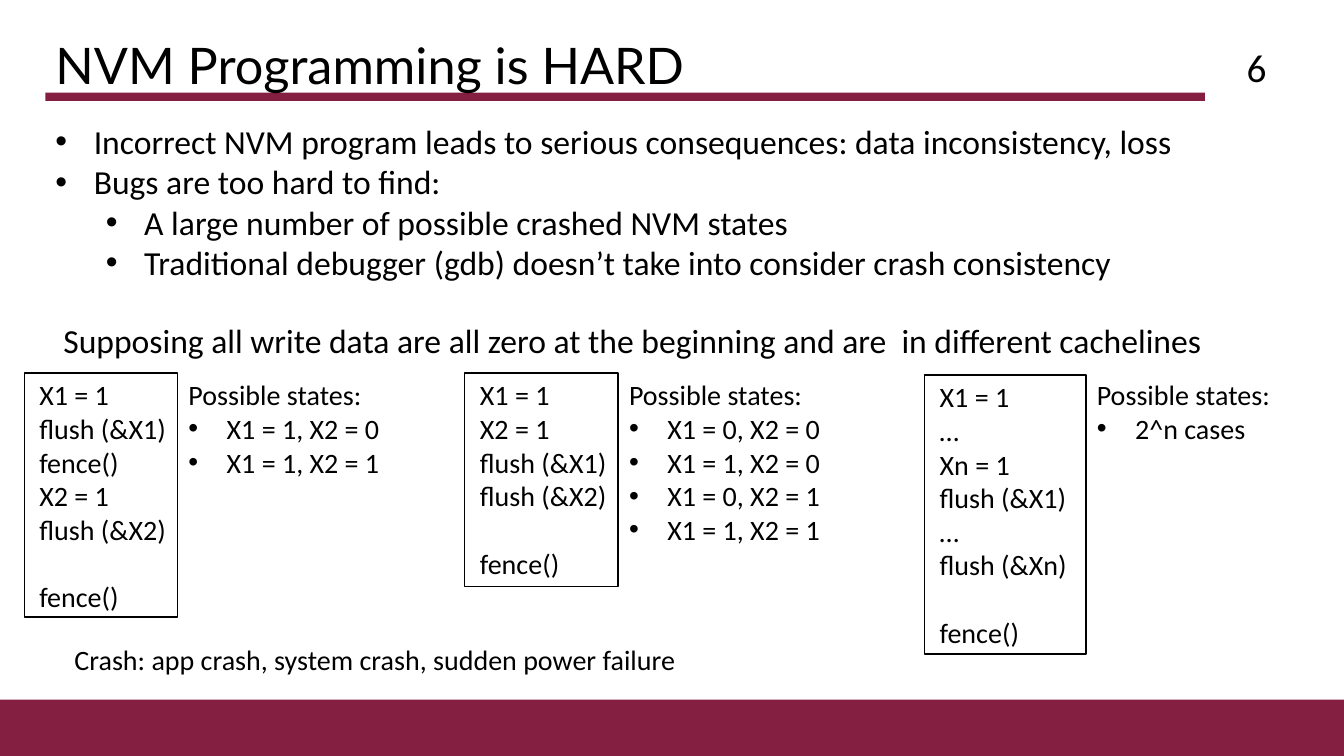
"""Build the slide on why NVM programming is hard."""
from lxml.etree import SubElement
from pptx import Presentation
from pptx.dml.color import RGBColor
from pptx.enum.shapes import MSO_SHAPE
from pptx.enum.text import MSO_ANCHOR, MSO_AUTO_SIZE, PP_ALIGN
from pptx.oxml.ns import qn
from pptx.util import Inches, Pt

MAROON, BLACK, WHITE = "851F41", "000000", "FFFFFF"


def color(hex_value):
    return RGBColor.from_string(hex_value)


def write(frame, lines, size, font="Calibri", spacing=1.0):
    """Fill a frame from (text, level) pairs; level None means no bullet."""
    frame.word_wrap = True
    frame.auto_size = MSO_AUTO_SIZE.NONE
    for number, (text, level) in enumerate(lines):
        paragraph = frame.paragraphs[0] if number == 0 else frame.add_paragraph()
        paragraph.text = text
        paragraph.alignment = PP_ALIGN.LEFT
        paragraph.line_spacing = spacing
        paragraph.space_before = Pt(0)
        if level is not None:
            paragraph.level = level
            properties = paragraph._p.get_or_add_pPr()
            properties.set("marL", str(Inches(0.38 + 0.5 * level)))
            properties.set("indent", str(Inches(-0.38)))
            SubElement(properties, qn("a:buFont")).set("typeface", "Arial")
            SubElement(properties, qn("a:buChar")).set("char", "•")
        paragraph.font.name = font
        paragraph.font.size = Pt(size)
        paragraph.font.color.rgb = color(BLACK)


prs = Presentation()
prs.slide_width, prs.slide_height = Inches(13.33), Inches(7.5)
slide = prs.slides.add_slide(prs.slide_layouts[1])
shapes = slide.shapes

for left, top, width, height in [(0, 6.94, 13.33, 0.56), (0.45, 0.92, 11.5, 0.08)]:
    band = shapes.add_shape(MSO_SHAPE.RECTANGLE, Inches(left), Inches(top),
                            Inches(width), Inches(height))
    band.shadow.inherit = False
    band.fill.solid()
    band.fill.fore_color.rgb = color(MAROON)
    band.line.fill.background()
    shapes._spTree.insert(2, band._element)

title = shapes.title
title.left, title.top, title.width, title.height = map(Inches, (0.45, 0.4, 11.5, 0.56))
write(title.text_frame, [("NVM Programming is HARD", None)], 36, "Lato", 0.9)
title.text_frame.vertical_anchor = MSO_ANCHOR.MIDDLE

reasons = slide.placeholders[1]
reasons.left, reasons.top, reasons.width, reasons.height = map(
    Inches, (0.45, 1.15, 12.21, 1.72))
write(reasons.text_frame, [
    ("Incorrect NVM program leads to serious consequences: data inconsistency, loss", 0),
    ("Bugs are too hard to find:", 0),
    ("A large number of possible crashed NVM states", 1),
    ("Traditional debugger (gdb) doesn’t take into consider crash consistency", 1),
], 24)

notes = [
    ("Supposing all write data are all zero at the beginning and are  in different cachelines",
     0.53, 3.12, 11.78, 0.5, 24),
    ("Crash: app crash, system crash, sudden power failure", 0.64, 6.33, 8.14, 0.44, 20),
]
for text, left, top, width, height, size in notes:
    note = shapes.add_textbox(Inches(left), Inches(top), Inches(width), Inches(height))
    write(note.text_frame, [(text, None)], size)

examples = [
    (0.24, 3.7, 1.52, 2.42,
     ["X1 = 1", "flush (&X1)", "fence()", "X2 = 1", "flush (&X2)", "fence()"],
     ["X1 = 1, X2 = 0", "X1 = 1, X2 = 1"]),
    (4.61, 3.7, 1.52, 2.12,
     ["X1 = 1", "X2 = 1", "flush (&X1)", "flush (&X2)", "fence()"],
     ["X1 = 0, X2 = 0", "X1 = 1, X2 = 0", "X1 = 0, X2 = 1", "X1 = 1, X2 = 1"]),
    (9.17, 3.72, 1.6, 2.77,
     ["X1 = 1", "…", "Xn = 1", "flush (&X1)", "…", "flush (&Xn)", "fence()"],
     ["2^n cases"]),
]
for left, top, width, height, code, states in examples:
    program = shapes.add_shape(MSO_SHAPE.RECTANGLE, Inches(left), Inches(top),
                               Inches(width), Inches(height))
    program.shadow.inherit = False
    program.fill.solid()
    program.fill.fore_color.rgb = color(WHITE)
    program.line.color.rgb = color(BLACK)
    program.line.width = Pt(1)
    listing = program.text_frame
    write(listing, [(line, None) for line in code], 20)
    listing.vertical_anchor = MSO_ANCHOR.TOP
    listing.margin_left, listing.margin_right = Inches(0.15), Inches(0)
    listing.paragraphs[-1].space_before = Pt(24)

    outcome = shapes.add_textbox(Inches(left + width + 0.01), Inches(3.7), Inches(2.15),
                                 Inches(0.44 + len(states) / 3))
    write(outcome.text_frame,
          [("Possible states:", None)] + [(state, 0) for state in states], 20)

page_number = shapes.add_textbox(Inches(9.66), Inches(0.46), Inches(3), Inches(0.4))
write(page_number.text_frame, [("6", None)], 28)
page_number.text_frame.vertical_anchor = MSO_ANCHOR.MIDDLE
page_number.text_frame.paragraphs[0].alignment = PP_ALIGN.RIGHT

prs.save("out.pptx")
